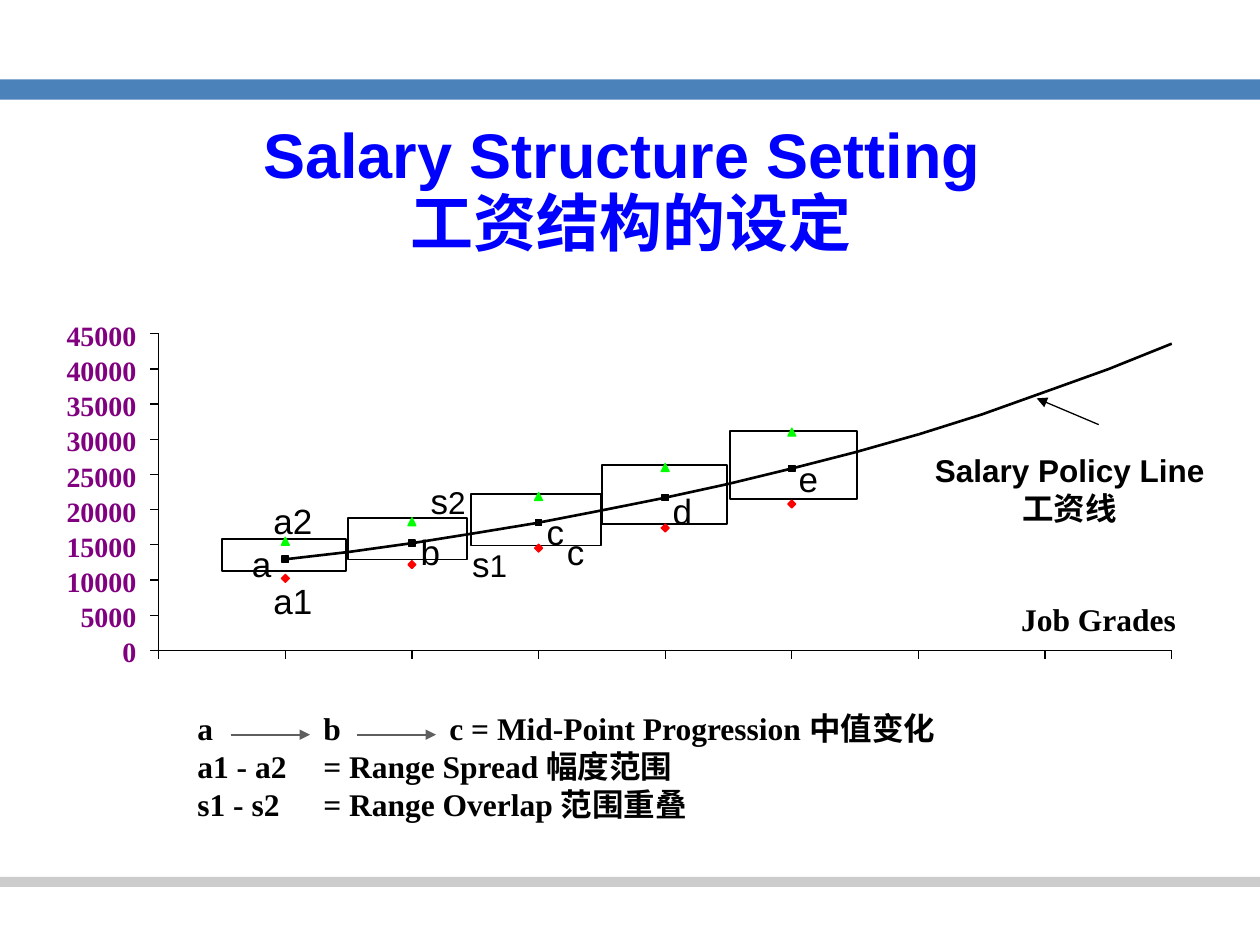
from lxml import etree
from pptx import Presentation
from pptx.dml.color import RGBColor
from pptx.enum.shapes import MSO_CONNECTOR, MSO_SHAPE
from pptx.enum.text import MSO_ANCHOR, PP_ALIGN
from pptx.oxml.ns import qn
from pptx.util import Cm, Pt

STRAIGHT = MSO_CONNECTOR.STRAIGHT
RECTANGLE, DIAMOND = MSO_SHAPE.RECTANGLE, MSO_SHAPE.DIAMOND
TRIANGLE = MSO_SHAPE.ISOSCELES_TRIANGLE
LEFT, CENTER, RIGHT = PP_ALIGN.LEFT, PP_ALIGN.CENTER, PP_ALIGN.RIGHT
TOP, MIDDLE = MSO_ANCHOR.TOP, MSO_ANCHOR.MIDDLE
SANS, SERIF = "Arial", "Times New Roman"
COLORS = {
    "band": "4C82BA", "footer": "CCCCCC", "title": "0000FF", "ink": "000000",
    "axis_label": "800080", "legend_arrow": "5F5F5F",
    "minimum": "FF0000", "maximum": "00FF00",
}

# Plot area in centimetres
AXIS_LEFT, AXIS_RIGHT, AXIS_TOP, AXIS_BOTTOM = 3.2, 23.62, 6.73, 13.11
GRADE_COUNT, SALARY_MAX, SALARY_STEP = 8, 45000, 5000
TICK = 0.17

# Salaries by grade; the policy line also has a point between each two grades
MINIMUMS = [10220, 12190, 14520, 17390, 20800]
MAXIMUMS = [15510, 18290, 21870, 26000, 31020]
POLICY_LINE = [12950, 13980, 15240, 16670, 18150, 19900, 21700, 23660,
               25850, 28150, 30700, 33530, 36750, 39980, 43600]
RANGE_BOXES = [(4.47, 10.87, 2.51, 0.64), (7.01, 10.44, 2.41, 0.84),
               (9.5, 9.96, 2.62, 1.04), (12.14, 9.37, 2.51, 1.19),
               (14.71, 8.69, 2.57, 1.37)]
POINT_LABELS = [("a1", 5.26, 11.56), ("a2", 5.26, 9.93), ("a", 4.83, 10.8),
                ("b", 8.23, 10.57), ("c", 10.77, 10.16), ("d", 13.31, 9.73),
                ("e", 15.85, 9.09), ("c", 11.18, 10.57),
                ("s1", 9.27, 10.8), ("s2", 8.43, 9.53)]
LEGEND = ["a\tb\tc = Mid-Point Progression 中值变化",
          "a1 - a2\t= Range Spread 幅度范围",
          "s1 - s2\t= Range Overlap 范围重叠"]


def color(name):
    return RGBColor.from_string(COLORS[name])


def grade_x(grade):
    return AXIS_LEFT + grade * (AXIS_RIGHT - AXIS_LEFT) / GRADE_COUNT


def salary_y(salary):
    return AXIS_BOTTOM - salary * (AXIS_BOTTOM - AXIS_TOP) / SALARY_MAX


def add_box(slide, kind, left, top, width, height, fill=None, line=None, weight=0.75):
    shape = slide.shapes.add_shape(kind, Cm(left), Cm(top), Cm(width), Cm(height))
    shape.shadow.inherit = False
    if fill:
        shape.fill.solid()
        shape.fill.fore_color.rgb = color(fill)
    else:
        shape.fill.background()
    if line:
        shape.line.color.rgb = color(line)
        shape.line.width = Pt(weight)
    else:
        shape.line.fill.background()


def add_line(slide, x1, y1, x2, y2, line="ink", weight=0.75, arrow=False):
    connector = slide.shapes.add_connector(STRAIGHT, Cm(x1), Cm(y1), Cm(x2), Cm(y2))
    connector.line.color.rgb = color(line)
    connector.line.width = Pt(weight)
    properties = connector._element.spPr
    if arrow:
        etree.SubElement(properties.find(qn("a:ln")), qn("a:tailEnd"), type="triangle")
    etree.SubElement(properties, qn("a:effectLst"))


def add_curve(slide, points):
    (start_x, start_y), *rest = [(Cm(x), Cm(y)) for x, y in points]
    builder = slide.shapes.build_freeform(start_x, start_y)
    builder.add_line_segments(rest, close=False)
    shape = builder.convert_to_shape()
    shape.shadow.inherit = False
    shape.fill.background()
    shape.line.color.rgb = color("ink")
    shape.line.width = Pt(1.5)


def format_font(font, name, size, bold, ink):
    font.name, font.size, font.bold = name, Pt(size), bold
    font.color.rgb = color(ink)


def add_text(slide, lines, left, top, width, height, font=SANS, size=18, bold=True,
             ink="ink", align=LEFT, anchor=TOP, margins=(0.25, 0.13), wrap=True, tabs=()):
    box = slide.shapes.add_textbox(Cm(left), Cm(top), Cm(width), Cm(height))
    frame = box.text_frame
    frame.word_wrap = wrap
    frame.vertical_anchor = anchor
    frame.margin_left = frame.margin_right = Cm(margins[0])
    frame.margin_top = frame.margin_bottom = Cm(margins[1])
    frame.text = "\n".join(lines)
    for paragraph in frame.paragraphs:
        paragraph.alignment = align
        if tabs:
            tab_list = etree.SubElement(paragraph._p.get_or_add_pPr(), qn("a:tabLst"))
            for position in tabs:
                etree.SubElement(tab_list, qn("a:tab"), pos=str(Cm(position)), algn="l")
        for run in paragraph.runs:
            format_font(run.font, font, size, bold, ink)
    return frame


def add_title(slide):
    title = slide.shapes.title
    title.left, title.top, title.width, title.height = Cm(1.07), Cm(3.15), Cm(23.29), Cm(1.45)
    frame = title.text_frame
    frame.text = "Salary Structure Setting \v工资结构的设定"
    frame.vertical_anchor = MIDDLE
    paragraph = frame.paragraphs[0]
    paragraph.alignment = CENTER
    paragraph.line_spacing = 0.9
    for run in paragraph.runs:
        format_font(run.font, SANS, 36, True, "title")


def add_axes(slide):
    add_line(slide, AXIS_LEFT, AXIS_TOP, AXIS_LEFT, AXIS_BOTTOM)
    add_line(slide, AXIS_LEFT, AXIS_BOTTOM, AXIS_RIGHT, AXIS_BOTTOM)
    for salary in range(0, SALARY_MAX + 1, SALARY_STEP):
        y = salary_y(salary)
        add_line(slide, AXIS_LEFT - TICK, y, AXIS_LEFT, y)
        add_text(slide, [str(salary)], 1.33, y - 0.31, 1.42, 0.69, SERIF, 16,
                 ink="axis_label", align=RIGHT, margins=(0, 0), wrap=False)
    for grade in range(GRADE_COUNT + 1):
        x = grade_x(grade)
        add_line(slide, x, AXIS_BOTTOM + TICK, x, AXIS_BOTTOM)


def add_series(slide):
    points = [(grade_x(1 + index / 2), salary_y(salary))
              for index, salary in enumerate(POLICY_LINE)]
    for start in range(0, len(points) - 1, 2):
        add_curve(slide, points[start:start + 3])
    midpoints = POLICY_LINE[:2 * len(MINIMUMS):2]
    for salaries, kind, ink, size in ((MINIMUMS, DIAMOND, "minimum", 0.16),
                                      (midpoints, RECTANGLE, "ink", 0.13),
                                      (MAXIMUMS, TRIANGLE, "maximum", 0.16)):
        for grade, salary in enumerate(salaries, 1):
            add_box(slide, kind, grade_x(grade) - size / 2, salary_y(salary) - size / 2,
                    size, size, ink, ink)


def add_labels(slide):
    add_text(slide, ["Job Grades"], 19.86, 11.96, 4.57, 1.02, SERIF,
             align=CENTER, anchor=MIDDLE)
    for label, left, top in POINT_LABELS:
        frame = add_text(slide, [label], left, top, 0.4 + 0.45 * len(label), 1.12,
                         size=20, bold=False, wrap=False)
        if label.startswith("s"):
            run = frame.paragraphs[0].runs[0]
            run.text = label[0]
            digit = frame.paragraphs[0].add_run()
            digit.text = label[1]
            format_font(digit.font, SANS, 18, False, "ink")
    add_text(slide, ["Salary Policy Line", "工资线"], 18.49, 8.97, 6.15, 1.78, align=CENTER)
    add_line(slide, 22.15, 8.56, 20.9, 8.03, arrow=True)


def add_legend(slide):
    add_text(slide, LEGEND, 3.73, 14.17, 16, 2.5, SERIF, tabs=(2.54, 5.08))
    for left in (4.65, 7.19):
        add_line(slide, left, 14.81, left + 1.6, 14.81, "legend_arrow", 1, arrow=True)


def main():
    presentation = Presentation()
    presentation.slide_width, presentation.slide_height = Cm(25.4), Cm(19.05)
    slide = presentation.slides.add_slide(presentation.slide_layouts[5])

    # Bands and title
    add_box(slide, RECTANGLE, 0, 1.6, 25.4, 0.41, "band")
    add_box(slide, RECTANGLE, 0, 17.68, 25.4, 0.2, "footer")
    add_title(slide)

    # Legend, salary ranges and policy line
    add_legend(slide)
    for bounds in RANGE_BOXES:
        add_box(slide, RECTANGLE, *bounds, line="ink", weight=1)
    add_axes(slide)
    add_series(slide)
    add_labels(slide)

    presentation.save("out.pptx")


if __name__ == "__main__":
    main()
